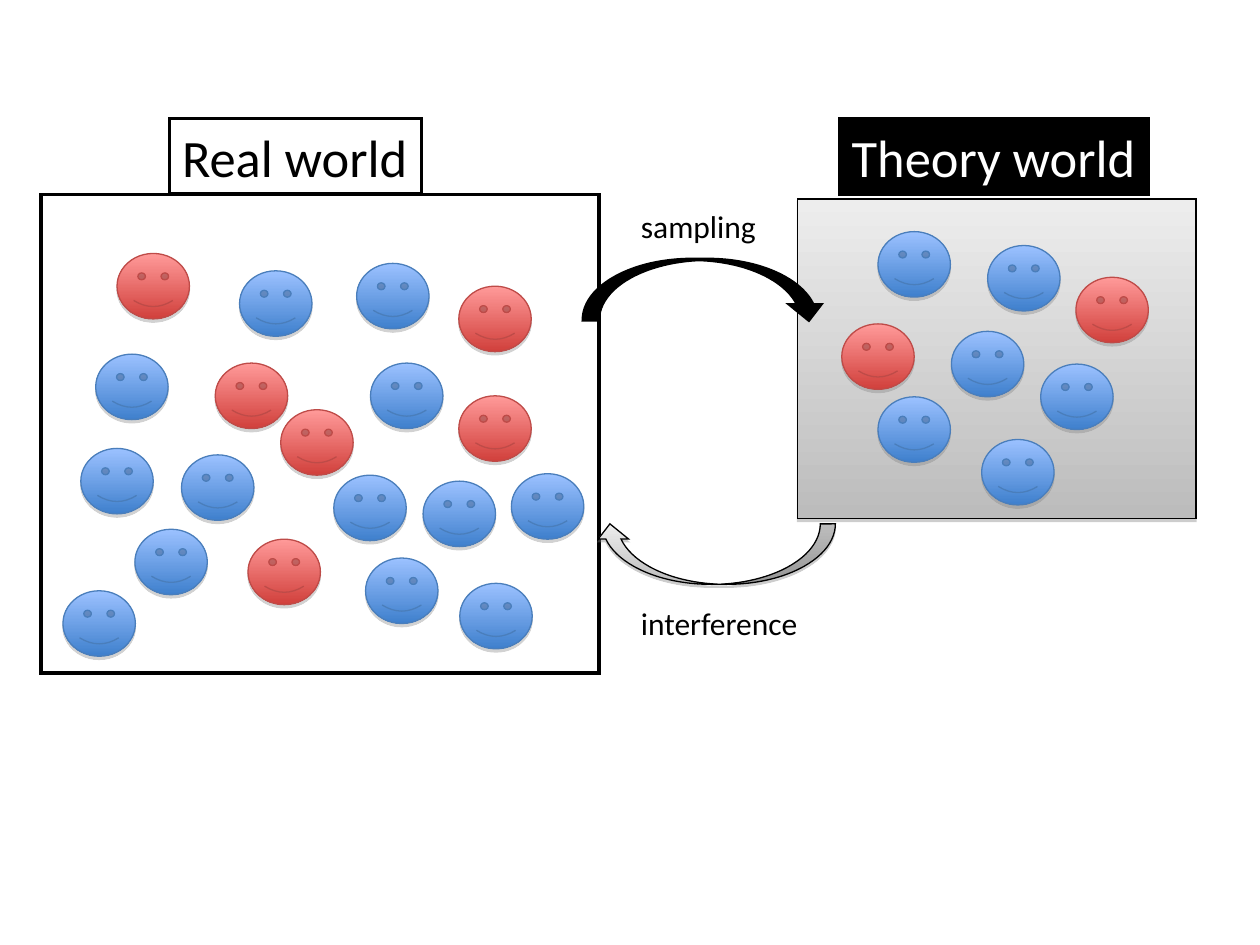
"""Build the slide on sampling between the real world and the theory world."""
from dataclasses import dataclass
from typing import Optional

from lxml.etree import SubElement as Sub
from pptx import Presentation as Deck
from pptx.dml.color import RGBColor as Rgb
from pptx.enum.shapes import MSO_SHAPE as Kind
from pptx.enum.text import MSO_ANCHOR as Anchor, MSO_AUTO_SIZE as Auto, PP_ALIGN as Align
from pptx.oxml.ns import qn
from pptx.util import Cm, Pt


@dataclass(frozen=True)
class Paint:
    top: str
    base: str
    edge: str
    shade: int
    drop: float


@dataclass(frozen=True)
class Theme:
    font: str = "Calibri"
    head: int = 30
    note: int = 18
    thick: float = 2
    thin: float = 0.75
    black: str = "000000"
    white: str = "FFFFFF"
    shadow: str = "808080"
    blue: Paint = Paint("9BC1FF", "3F80CD", "4A7EBB", 35, 1.8)
    red: Paint = Paint("FF9A99", "D1403C", "BE4B48", 35, 1.8)
    gray: Paint = Paint("EDEDED", "BCBCBC", "000000", 38, 1.6)


@dataclass(frozen=True)
class Box:
    left: float
    top: float
    width: float
    height: float

    def cm(self) -> tuple:
        return Cm(self.left), Cm(self.top), Cm(self.width), Cm(self.height)


@dataclass(frozen=True)
class Label:
    text: str
    box: Box
    size: int
    ink: str
    fill: Optional[str] = None


@dataclass(frozen=True)
class Crowd:
    paint: Paint
    spots: tuple


THEME = Theme()
FACE = (1.46, 1.32)
REAL = Box(0.83, 3.92, 11.25, 9.65)
THEORY = Box(16.08, 4.01, 8.03, 6.45)
OUT = Box(11.76, 5.23, 4.85, 1.22)
BACK = Box(11.99, 10.56, 4.85, 1.22)

LABELS = (
    Label("Real world", Box(3.42, 2.39, 5.08, 1.52), THEME.head, THEME.black, THEME.white),
    Label("Theory world", Box(16.92, 2.39, 6.22, 1.52), THEME.head, THEME.white, THEME.black),
    Label("sampling", Box(12.67, 4.04, 2.82, 1.02), THEME.note, THEME.black),
    Label("interference", Box(12.67, 12.05, 3.71, 1.02), THEME.note, THEME.black),
)

CROWDS = (
    Crowd(THEME.blue, (
        (4.83, 5.46), (1.93, 7.14), (7.47, 7.32), (1.27, 11.91), (7.19, 5.31),
        (3.66, 9.17), (7.37, 11.25), (2.72, 10.67), (8.53, 9.7), (1.63, 9.04),
        (9.27, 11.76), (6.73, 9.58), (10.31, 9.55),
        (19.91, 4.95), (17.7, 4.67), (17.7, 8), (19.79, 8.86), (20.98, 7.34),
        (19.18, 6.68))),
    Crowd(THEME.red, (
        (2.36, 5.11), (5.66, 8.26), (9.25, 5.77), (5, 10.87), (9.25, 7.98),
        (4.34, 7.32), (16.97, 6.53), (21.69, 5.59))),
)


def set_line(shape, ink: str, width: float) -> None:
    shape.line.color.rgb = Rgb.from_string(ink)
    shape.line.width = Pt(width)
    edge = shape.element.spPr.find(qn("a:ln"))
    if edge.find(qn("a:miter")) is None:
        Sub(edge, qn("a:miter"), lim="800000")


def set_fill(shape, ink: str) -> None:
    shape.fill.solid()
    shape.fill.fore_color.rgb = Rgb.from_string(ink)


def add_flat(shapes, kind: Kind, box: Box, fill: Optional[str] = None):
    shape = shapes.add_shape(kind, *box.cm())
    shape.shadow.inherit = False
    if fill:
        set_fill(shape, fill)
    else:
        shape.fill.background()
    set_line(shape, THEME.black, THEME.thick)
    return shape


def add_shaded(shapes, kind: Kind, box: Box, paint: Paint, angle: int = 270):
    shape = add_flat(shapes, kind, box)
    set_line(shape, paint.edge, THEME.thin)
    shape.fill.gradient()
    shape.fill.gradient_angle = angle
    for stop, ink, place in zip(shape.fill.gradient_stops, (paint.top, paint.base), (0, 1)):
        stop.color.rgb = Rgb.from_string(ink)
        stop.position = place
    list_tag = shape.element.spPr.find(qn("a:effectLst"))
    drop = Sub(list_tag, qn("a:outerShdw"), blurRad="0", dist=str(Pt(paint.drop)),
               dir="5400000", rotWithShape="0")
    tint = Sub(drop, qn("a:srgbClr"), val=THEME.shadow)
    Sub(tint, qn("a:alpha"), val=str(paint.shade * 1000))
    return shape


def add_crowd(shapes, crowd: Crowd) -> None:
    for spot in crowd.spots:
        face = add_shaded(shapes, Kind.SMILEY_FACE, Box(*spot, *FACE), crowd.paint)
        face.adjustments[0] = 0.09


def add_label(shapes, label: Label) -> None:
    shape = shapes.add_textbox(*label.box.cm())
    if label.fill:
        set_fill(shape, label.fill)
        set_line(shape, THEME.black, THEME.thick)
    frame = shape.text_frame
    frame.word_wrap = True
    frame.auto_size = Auto.NONE
    frame.margin_right = Cm(0)
    frame.vertical_anchor = Anchor.TOP
    para = frame.paragraphs[0]
    para.alignment = Align.LEFT
    run = para.add_run()
    run.text = label.text
    run.font.name = THEME.font
    run.font.size = Pt(label.size)
    run.font.color.rgb = Rgb.from_string(label.ink)


def main() -> None:
    deck = Deck()
    deck.slide_width, deck.slide_height = Cm(25.4), Cm(19.05)
    shapes = deck.slides.add_slide(deck.slide_layouts[6]).shapes
    add_shaded(shapes, Kind.RECTANGLE, THEORY, THEME.gray)
    for crowd in CROWDS:
        add_crowd(shapes, crowd)
    add_flat(shapes, Kind.RECTANGLE, REAL)
    add_flat(shapes, Kind.CURVED_DOWN_ARROW, OUT, THEME.black)
    back = add_shaded(shapes, Kind.CURVED_DOWN_ARROW, BACK, THEME.gray, 90)
    back.rotation = 180
    for label in LABELS:
        add_label(shapes, label)
    deck.save("out.pptx")


if __name__ == "__main__":
    main()
